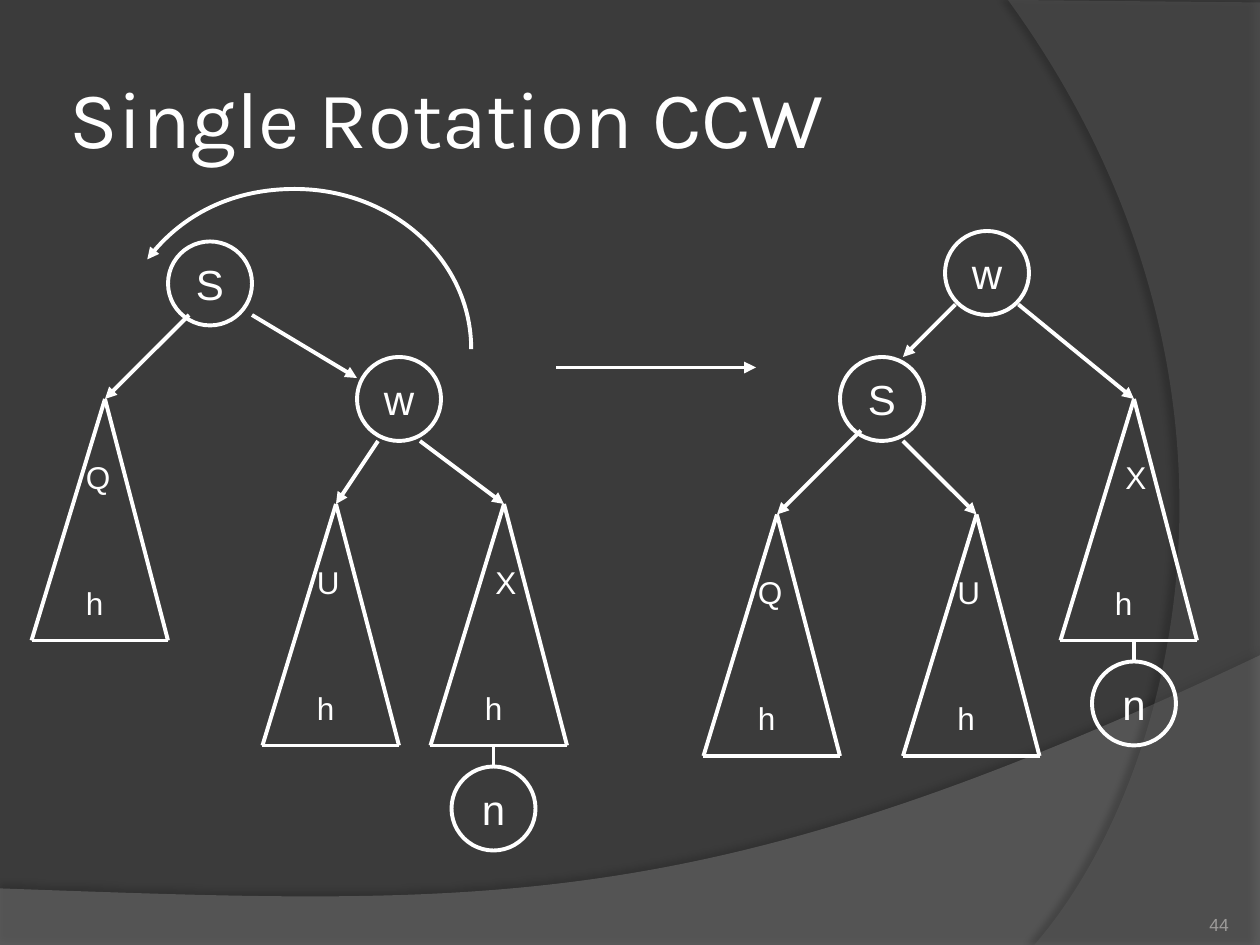
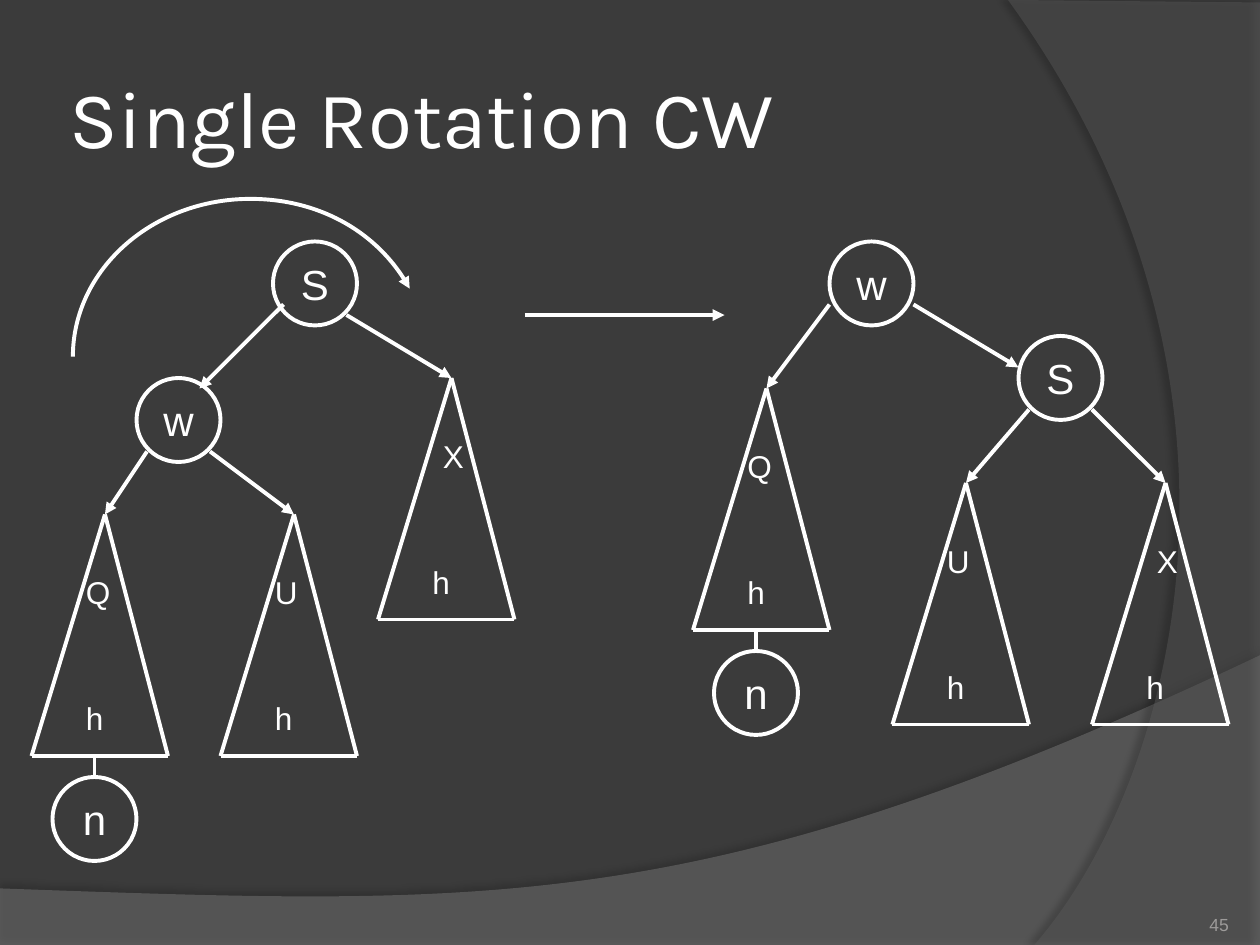
"""Two slides on single tree rotations, drawn on a grid of twelfths of an inch."""
from dataclasses import dataclass
from typing import Optional

from lxml import etree
from pptx import Presentation
from pptx import util as u
from pptx.dml.color import RGBColor
from pptx.enum import shapes, text
from pptx.oxml.ns import qn

BACKGROUND, INK, NUMBER_GRAY = "3B3B3B", "FFFFFF", "9D9B9A"
TITLE_FONT, BODY_FONT = "Karla", "Arial"
LINE_WIDTH = u.Pt(2.25)
GRID = 2.54 / 12      # centimetres in one grid step
NODE_SIZE = 8         # the remaining sizes are in grid steps
TREE_HEIGHT = 23
STEM_LENGTH = 2

Point = tuple[float, float]
Step = tuple[Point, ...]   # one point: straight line; three points: curve


@dataclass
class Band:
    """A translucent background band; its outline is in centimetres."""
    start: Point
    steps: list[Step]
    color: str
    opacity: int
    shadow_opacity: int
    shadow_distance: float
    shadow_angle: int


@dataclass
class Node:
    """A round node, placed by its left top corner."""
    label: str
    left: int
    top: int


@dataclass
class Subtree:
    """A triangular subtree under its apex, with an optional new node below."""
    label: str
    x: int
    y: int
    stem: Optional[int] = None


@dataclass
class Arrow:
    """A straight arrow between two grid points."""
    start: Point
    end: Point


@dataclass
class RotationSlide:
    """Everything that differs between the two slides."""
    title: str
    number: str
    nodes: list[Node]
    subtrees: list[Subtree]
    arrows: list[Arrow]
    turn_start: Point
    turn: list[Step]


BANDS = [
    Band((0, 17.91),
         [((0, 19.08),), ((25.4, 19.08),), ((25.4, 13.21),),
          ((14.2, 18.52), (9.93, 18.26), (0, 17.91))],
         "7F7F7F", 45, 35, 3.5, 270),
    Band((25.4, 0.05),
         [((25.4, 19.05),), ((20.85, 19.05),),
          ((23.75, 15.72), (25.86, 7.62), (20.32, 0))],
         "5E5E5E", 40, 45, 4, 180),
]

SLIDES = [
    RotationSlide(
        "Single Rotation CCW", "44",
        [Node("S", 16, 23), Node("w", 34, 34), Node("S", 80, 34), Node("w", 90, 22)],
        [Subtree("Q", 10, 38), Subtree("U", 32, 48), Subtree("X", 48, 48, stem=47),
         Subtree("Q", 74, 49), Subtree("U", 93, 49), Subtree("X", 108, 38, stem=108)],
        [Arrow((18, 30), (10, 38)), Arrow((24, 30), (34, 36)),
         Arrow((36, 42), (32, 48)), Arrow((40, 42), (48, 48)),
         Arrow((82, 41), (74, 49)), Arrow((97, 29), (108, 38)),
         Arrow((91, 29), (86, 34)), Arrow((86, 42), (93, 49)),
         Arrow((53, 35), (72, 35))],
        (9.5, 7.04),
        [((9.5, 5.23), (7.9, 3.81), (5.94, 3.81)),
         ((4.75, 3.81), (3.63, 4.34), (2.97, 5.23))]),
    RotationSlide(
        "Single Rotation CW", "45",
        [Node("S", 26, 23), Node("w", 13, 36), Node("S", 97, 32), Node("w", 79, 23)],
        [Subtree("Q", 10, 49, stem=9), Subtree("U", 28, 49), Subtree("X", 43, 36),
         Subtree("Q", 73, 37, stem=72), Subtree("U", 92, 46), Subtree("X", 111, 46)],
        [Arrow((27, 29), (19, 37)), Arrow((33, 30), (43, 36)),
         Arrow((14, 43), (10, 49)), Arrow((20, 43), (28, 49)),
         Arrow((79, 29), (73, 37)), Arrow((87, 29), (97, 35)),
         Arrow((98, 39), (92, 46)), Arrow((104, 39), (111, 46)),
         Arrow((50, 30), (69, 30))],
        (1.47, 7.19),
        [((1.47, 5.44), (3.07, 4.01), (5.05, 4.01)),
         ((6.4, 4.01), (7.67, 4.72), (8.26, 5.82))]),
]


def rgb(color: str) -> RGBColor:
    """Turn a hex string into a colour."""
    return RGBColor.from_string(color)


def grid(steps: float) -> u.Length:
    """Turn grid steps into a length."""
    return u.Cm(steps * GRID)


def write(shape, content: str, *, size: float, font: str = BODY_FONT, color: str = INK,
          align=text.PP_ALIGN.LEFT, anchor=text.MSO_ANCHOR.TOP, wrap: bool = False,
          inset: Optional[float] = None) -> None:
    """Put one formatted line of text into a shape; inset is in centimetres."""
    frame = shape.text_frame
    frame.word_wrap, frame.vertical_anchor = wrap, anchor
    if inset is not None:
        frame.margin_left = frame.margin_right = u.Cm(inset)
        frame.margin_top = frame.margin_bottom = u.Cm(inset)
    paragraph = frame.paragraphs[0]
    paragraph.alignment = align
    run = paragraph.add_run()
    run.text = content
    run.font.size, run.font.name = u.Pt(size), font
    run.font.color.rgb = rgb(color)


def style_line(line) -> None:
    """Give a line the common colour and width."""
    line.color.rgb = rgb(INK)
    line.width = LINE_WIDTH


def add_arrowhead(line) -> None:
    """Put a triangle at the end of a line."""
    etree.SubElement(line._get_or_add_ln(), qn("a:tailEnd"), type="triangle")


def draw_line(slide, start: Point, end: Point, arrow: bool = False) -> None:
    """Draw a straight line between two grid points."""
    connector = slide.shapes.add_connector(
        shapes.MSO_CONNECTOR.STRAIGHT, *map(grid, start + end))
    style_line(connector.line)
    if arrow:
        add_arrowhead(connector.line)
    etree.SubElement(connector.element.spPr, qn("a:effectLst"))


def draw_outline(slide, start: Point, steps: list[Step], close: bool):
    """Draw an outline of straight and curved steps given in centimetres."""
    points = [(u.Cm(x), u.Cm(y)) for step in steps for x, y in step]
    builder = slide.shapes.build_freeform(u.Cm(start[0]), u.Cm(start[1]))
    builder.add_line_segments(points, close=close)
    shape = builder.convert_to_shape()
    shape.shadow.inherit = False
    segments = iter(list(shape.element.iter(qn("a:lnTo"))))
    for step in steps:
        first, *others = [next(segments) for _ in step]
        if others:
            first.tag = qn("a:cubicBezTo")
        for other in others:
            first.append(other[0])
            other.getparent().remove(other)
    return shape


def draw_band(slide, band: Band) -> None:
    """Draw a translucent band with a soft shadow."""
    shape = draw_outline(slide, band.start, band.steps, close=True)
    shape.fill.solid()
    shape.fill.fore_color.rgb = rgb(band.color)
    shape.line.fill.background()
    properties = shape.element.spPr
    fill_color = properties.find(qn("a:solidFill"))[0]
    etree.SubElement(fill_color, qn("a:alpha"), val=str(band.opacity * 1000))
    shadow = etree.SubElement(
        properties.find(qn("a:effectLst")), qn("a:outerShdw"),
        blurRad=str(u.Pt(4)), dist=str(u.Pt(band.shadow_distance)),
        dir=str(band.shadow_angle * 60000), algn="ctr", rotWithShape="0")
    shadow_color = etree.SubElement(shadow, qn("a:srgbClr"), val="000000")
    etree.SubElement(shadow_color, qn("a:alpha"), val=str(band.shadow_opacity * 1000))


def draw_node(slide, node: Node) -> None:
    """Draw a circle with its letter."""
    shape = slide.shapes.add_shape(
        shapes.MSO_SHAPE.OVAL, grid(node.left), grid(node.top),
        grid(NODE_SIZE), grid(NODE_SIZE))
    shape.shadow.inherit = False
    shape.fill.background()
    style_line(shape.line)
    write(shape, node.label, size=24, align=text.PP_ALIGN.CENTER,
          anchor=text.MSO_ANCHOR.MIDDLE)


def draw_label(slide, content: str, left: int, top: int) -> None:
    """Write a small letter at a grid point."""
    box = slide.shapes.add_textbox(grid(left), grid(top), u.Cm(0.95), u.Cm(1.02))
    write(box, content, size=18)
    box.text_frame.auto_size = text.MSO_AUTO_SIZE.SHAPE_TO_FIT_TEXT


def draw_subtree(slide, tree: Subtree) -> None:
    """Draw the triangle, its name, its height and any inserted node."""
    base = tree.y + TREE_HEIGHT
    corners = [(tree.x, tree.y), (tree.x - 7, base), (tree.x + 6, base)]
    for start, end in zip(corners, corners[1:] + corners[:1]):
        draw_line(slide, start, end)
    draw_label(slide, "h", tree.x - 3, tree.y + 17)
    draw_label(slide, tree.label, tree.x - (2 if tree.label == "X" else 3), tree.y + 5)
    if tree.stem is not None:
        bottom = base + STEM_LENGTH
        draw_line(slide, (tree.stem, base), (tree.stem, bottom))
        draw_node(slide, Node("n", tree.stem - NODE_SIZE // 2, bottom))


def draw_frame(slide, title: str, number: str) -> None:
    """Draw the shared background, title and slide number."""
    slide.background.fill.solid()
    slide.background.fill.fore_color.rgb = rgb(BACKGROUND)
    for band in BANDS:
        draw_band(slide, band)
    heading = slide.shapes.title
    heading.left, heading.top = u.Cm(1.27), u.Cm(0.76)
    heading.width, heading.height = u.Cm(20.75), u.Cm(3.18)
    write(heading, title, size=46, font=TITLE_FONT, wrap=True, inset=0.13,
          anchor=text.MSO_ANCHOR.MIDDLE)
    box = slide.shapes.add_textbox(u.Cm(22.66), u.Cm(17.83), u.Cm(2.11), u.Cm(1.02))
    write(box, number, size=10, color=NUMBER_GRAY, wrap=True, inset=0,
          align=text.PP_ALIGN.RIGHT, anchor=text.MSO_ANCHOR.BOTTOM)


def draw_rotation(slide, content: RotationSlide) -> None:
    """Draw one slide with the trees before and after the rotation."""
    draw_frame(slide, content.title, content.number)
    for node in content.nodes:
        draw_node(slide, node)
    for tree in content.subtrees:
        draw_subtree(slide, tree)
    for arrow in content.arrows:
        draw_line(slide, arrow.start, arrow.end, arrow=True)
    turn = draw_outline(slide, content.turn_start, content.turn, close=False)
    turn.fill.background()
    style_line(turn.line)
    add_arrowhead(turn.line)


def main() -> None:
    """Build and save the presentation."""
    presentation = Presentation()
    presentation.slide_width, presentation.slide_height = u.Cm(25.4), u.Cm(19.05)
    title_only = presentation.slide_layouts[5]
    for content in SLIDES:
        draw_rotation(presentation.slides.add_slide(title_only), content)
    presentation.save("out.pptx")


main()
